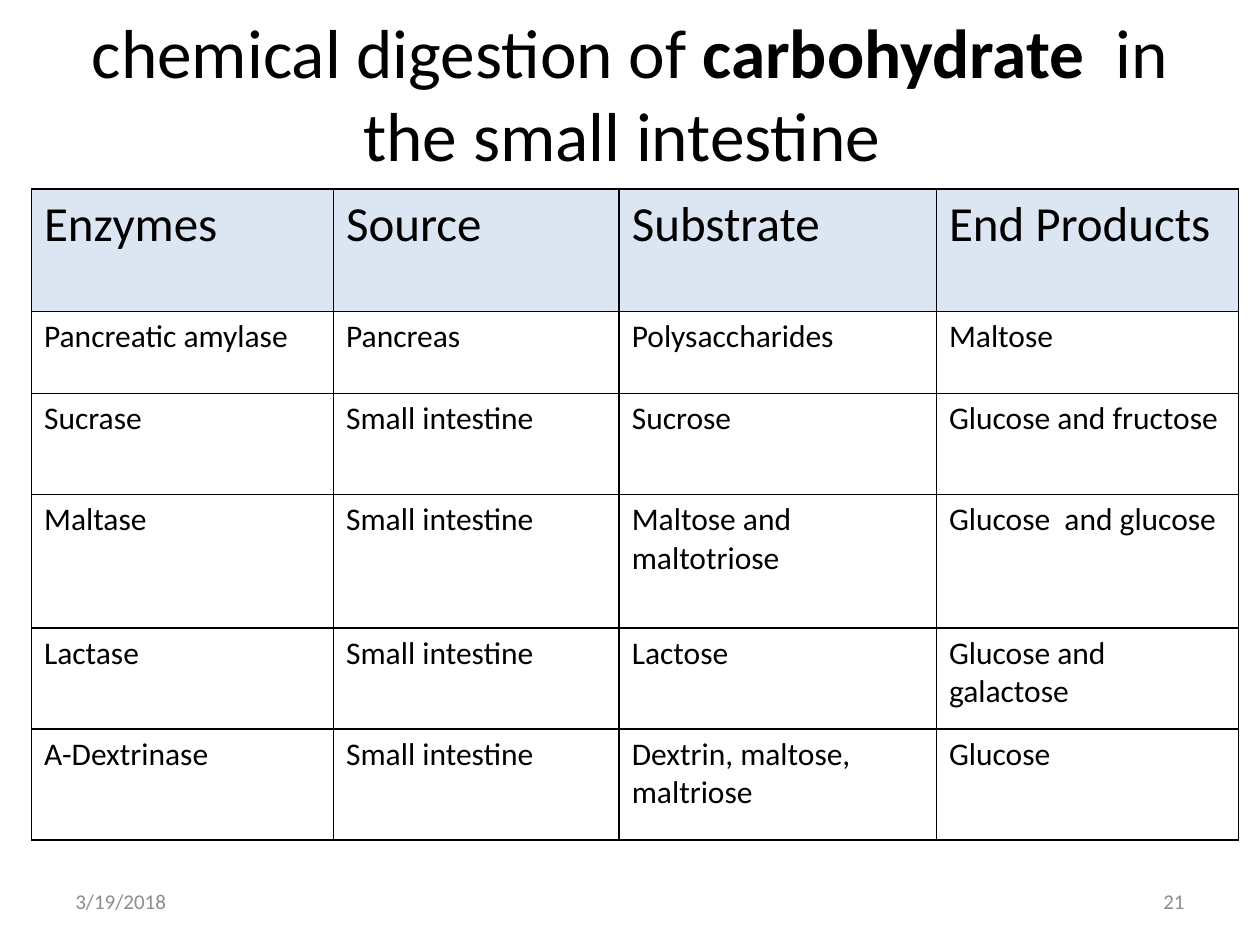
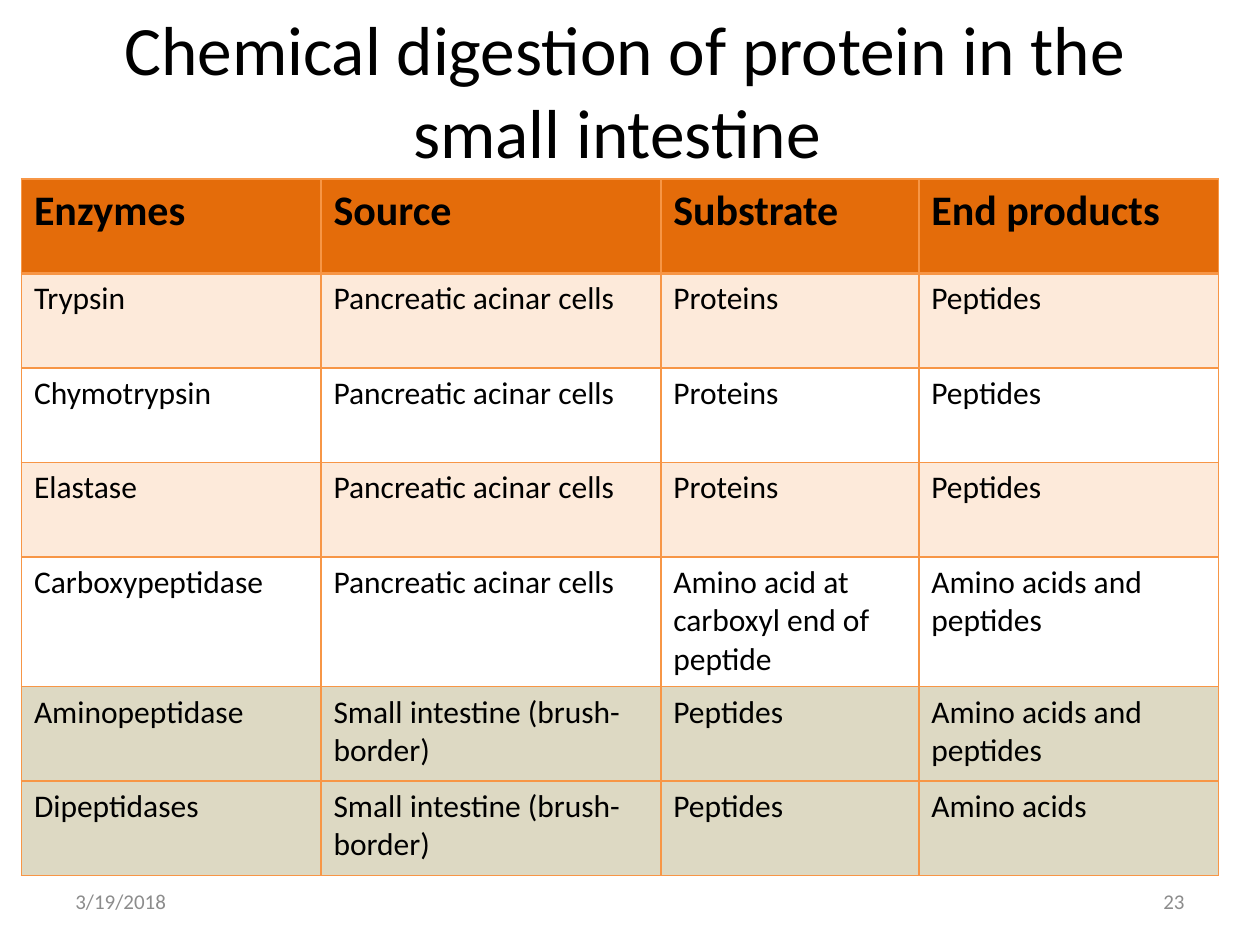
from lxml.etree import SubElement
from pptx import Presentation
from pptx.dml.color import RGBColor
from pptx.enum.text import MSO_ANCHOR, PP_ALIGN
from pptx.oxml.ns import qn
from pptx.util import Inches, Pt

WIDTH, HEIGHT = 10, 7.5
FONT = "Calibri"
INK, MUTED = "000000", "8C8C8C"
PALE_BLUE = "DCE6F2"
ORANGE, DEEP_ORANGE, PALE_ORANGE, SAND = "F79646", "E46C0A", "FDEADA", "DDD9C3"
DATE = "3/19/2018"
FOOTER_TOP, FOOTER_WIDTH, FOOTER_HEIGHT, MARGIN = 6.95, 2.33, 0.4, 0.5
ACINAR, BRUSH_BORDER = "Pancreatic acinar cells", "Small intestine (brush-border)"

CARBOHYDRATE = {
    "title": [("chemical digestion of ", False), ("carbohydrate", True),
              ("  in the small intestine ", False)],
    "title_box": (MARGIN, 0.3, 9, 0.87),
    "page": 21,
    "table": {
        "box": (0.25, 1.5, 9.58, 5.17),
        "columns": [2.4, 2.27, 2.52, 2.4],
        "rows": [0.97, 0.65, 0.8, 1.06, 0.8, 0.88],
        "fills": [PALE_BLUE] + [None] * 5,
        "line": INK,
        "header": {"size": 28},
        "entries": [
            ["Enzymes", "Source", "Substrate", "End Products"],
            ["Pancreatic amylase", "Pancreas", "Polysaccharides", "Maltose"],
            ["Sucrase", "Small intestine", "Sucrose", "Glucose and fructose"],
            ["Maltase", "Small intestine", "Maltose and maltotriose", "Glucose  and glucose"],
            ["Lactase", "Small intestine", "Lactose", "Glucose and galactose"],
            ["Α-Dextrinase", "Small intestine", "Dextrin, maltose, maltriose", "Glucose"],
        ],
    },
}

PROTEIN = {
    "title": [("Chemical digestion of protein in the small intestine ", False)],
    "title_box": (0.25, 0.17, 9.42, 1.08),
    "page": 23,
    "table": {
        "box": (0.17, 1.42, 9.5, FOOTER_TOP - 1.42),
        "columns": [2.38, 2.7, 2.05, 2.38],
        "rows": [0.75] * 4 + [1.03] + [0.75] * 2,
        "fills": [DEEP_ORANGE, PALE_ORANGE, None, PALE_ORANGE, None, SAND, SAND],
        "line": ORANGE,
        "header": {"size": 24, "bold": True},
        "header_rule": 2,
        "entries": [
            ["Enzymes", "Source", "Substrate", "End products"],
            ["Trypsin", ACINAR, "Proteins", "Peptides"],
            ["Chymotrypsin", ACINAR, "Proteins", "Peptides"],
            ["Elastase", ACINAR, "Proteins", "Peptides"],
            ["Carboxypeptidase", ACINAR, "Amino acid at carboxyl end of peptide",
             "Amino acids and peptides"],
            ["Aminopeptidase", BRUSH_BORDER, "Peptides", "Amino acids and peptides"],
            ["Dipeptidases", BRUSH_BORDER, "Peptides", "Amino acids"],
        ],
    },
}


def rgb(code):
    """Turn a hex string into a colour."""
    return RGBColor.from_string(code)


def write(frame, text, size=18, color=INK, bold=False, align=PP_ALIGN.LEFT):
    """Append formatted text to the first paragraph of a frame."""
    paragraph = frame.paragraphs[0]
    paragraph.alignment = align
    run = paragraph.add_run()
    run.text = text
    run.font.name = FONT
    run.font.size = Pt(size)
    run.font.bold = bold
    run.font.color.rgb = rgb(color)


def add_frame(slide, box):
    """Add a wrapping, vertically centred text box and return its frame."""
    frame = slide.shapes.add_textbox(*map(Inches, box)).text_frame
    frame.word_wrap = True
    frame.vertical_anchor = MSO_ANCHOR.MIDDLE
    return frame


def add_title(slide, box, pieces):
    """Write the centred title from (text, bold) pieces."""
    frame = add_frame(slide, box)
    for text, bold in pieces:
        write(frame, text, size=39.6, bold=bold, align=PP_ALIGN.CENTER)


def add_footer(slide, page):
    """Write the date at the left and the page number at the right."""
    right = WIDTH - MARGIN - FOOTER_WIDTH
    for left, text, align in ((MARGIN, DATE, PP_ALIGN.LEFT),
                              (right, str(page), PP_ALIGN.RIGHT)):
        frame = add_frame(slide, (left, FOOTER_TOP, FOOTER_WIDTH, FOOTER_HEIGHT))
        write(frame, text, size=12, color=MUTED, align=align)


def set_borders(cell, color, **widths):
    """Draw the cell's edges, one point wide unless named in widths."""
    properties = cell._tc.get_or_add_tcPr()
    for edge in "LRTB":
        line = SubElement(properties, qn(f"a:ln{edge}"), w=str(Pt(widths.get(edge, 1))))
        SubElement(SubElement(line, qn("a:solidFill")), qn("a:srgbClr"), val=color)


def set_fill(cell, color):
    """Fill the cell, or leave it clear when there is no colour."""
    if color:
        cell.fill.solid()
        cell.fill.fore_color.rgb = rgb(color)
    else:
        cell.fill.background()


def share_out(weights, total):
    """Divide a total length in inches by weight."""
    return [Inches(total * weight / sum(weights)) for weight in weights]


def add_enzyme_table(slide, box, columns, rows, fills, line, header, entries, header_rule=1):
    """Lay out the enzyme table inside its box."""
    table = slide.shapes.add_table(len(rows), len(columns), *map(Inches, box)).table
    table.first_row = table.horz_banding = False
    for column, width in zip(table.columns, share_out(columns, box[2])):
        column.width = width
    for row, height in zip(table.rows, share_out(rows, box[3])):
        row.height = height
    for r, entry in enumerate(entries):
        for c, text in enumerate(entry):
            cell = table.cell(r, c)
            rules = {"B": header_rule} if r == 0 else {"T": header_rule} if r == 1 else {}
            set_borders(cell, line, **rules)
            set_fill(cell, fills[r])
            write(cell.text_frame, text, **(header if r == 0 else {}))


def add_digestion_slide(deck, topic):
    """Build one slide with a title, an enzyme table and a footer."""
    slide = deck.slides.add_slide(deck.slide_layouts[6])
    add_title(slide, topic["title_box"], topic["title"])
    add_enzyme_table(slide, **topic["table"])
    add_footer(slide, topic["page"])


def main():
    """Build and save the deck."""
    deck = Presentation()
    deck.slide_width, deck.slide_height = Inches(WIDTH), Inches(HEIGHT)
    for topic in (CARBOHYDRATE, PROTEIN):
        add_digestion_slide(deck, topic)
    deck.save("out.pptx")


if __name__ == "__main__":
    main()
